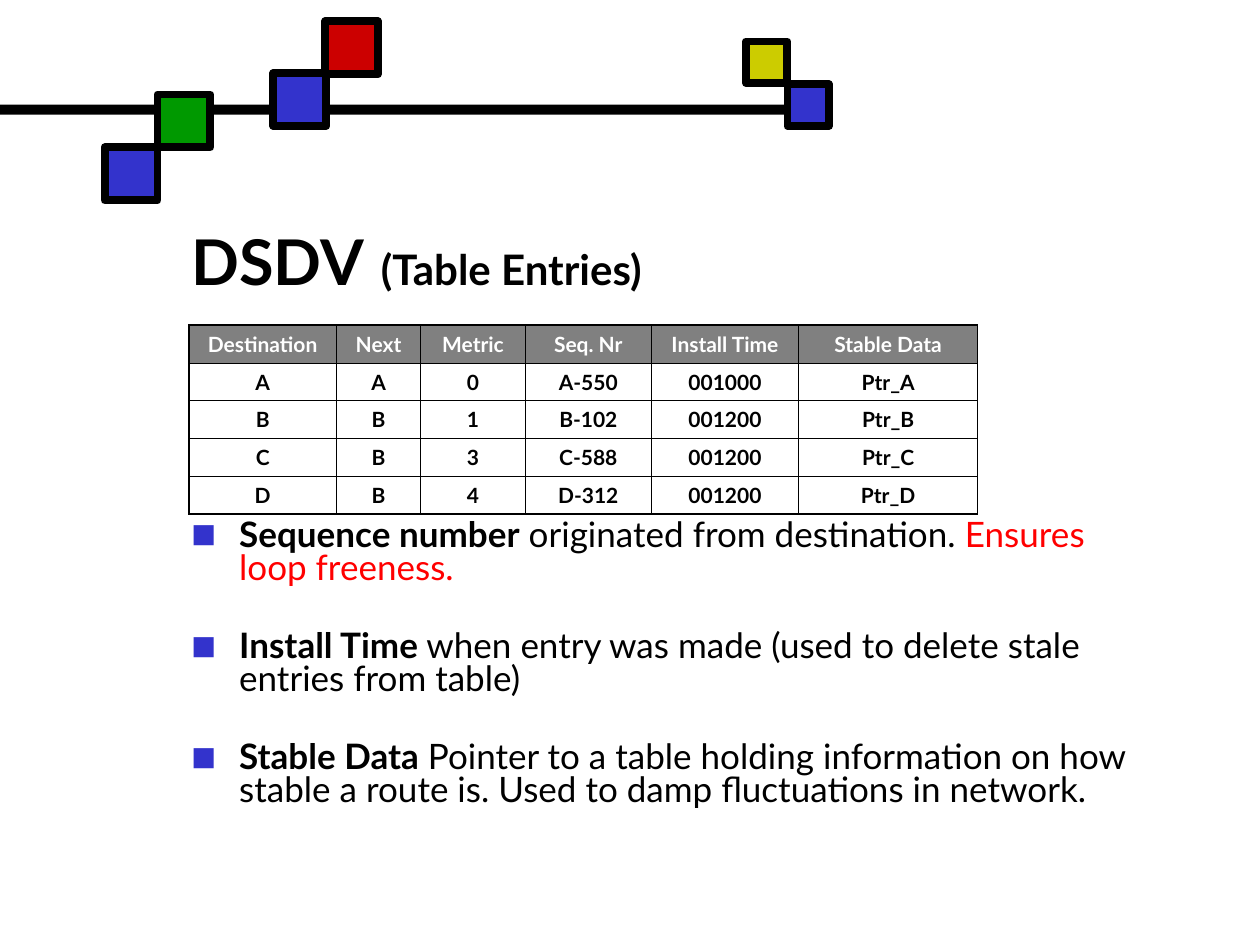
from dataclasses import dataclass
from lxml.etree import SubElement as Sub
from pptx import Presentation as Deck
from pptx.dml.color import RGBColor as Rgb
from pptx.enum.shapes import MSO_SHAPE as Kind
from pptx.enum.text import MSO_ANCHOR as Anchor, PP_ALIGN as Align
from pptx.oxml.ns import qn
from pptx.util import Inches, Pt


@dataclass(frozen=True)
class Theme:
    font: str = "Lato"
    black: str = "000000"
    white: str = "FFFFFF"
    blue: str = "3333CC"
    green: str = "009900"
    red: str = "CC0000"
    gold: str = "CCCC00"
    gray: str = "808080"
    alert: str = "FF0000"
    title: int = 36
    gap: int = 40
    sub: int = 24
    body: int = 20
    cell: int = 12
    edge: float = 4.5
    rim: float = 1.08
    grid: float = 0.45


T = Theme()

# Left, top, side, fill
TILES = [
    (6.25, 0.67, 0.33, T.blue),
    (5.92, 0.33, 0.33, T.gold),
    (2.17, 0.58, 0.42, T.blue),
    (0.83, 1.17, 0.42, T.blue),
    (1.25, 0.75, 0.42, T.green),
    (2.58, 0.17, 0.42, T.red),
]
# Text, size
TITLE = [("DSDV", T.title), (" ", T.gap), ("(Table Entries)", T.sub)]
# Text, bold, colour; a line feed is a line break
POINTS = [
    [("Sequence number", True, T.black),
     (" originated from destination. ", False, T.black),
     ("Ensures\nloop freeness.", False, T.alert)],
    [("Install Time", True, T.black),
     (" when entry was made (used to delete stale entries from table)",
      False, T.black)],
    [("Stable Data", True, T.black),
     (" Pointer to a table holding information on how stable a route is."
      " Used to damp fluctuations in network.", False, T.black)],
]
COLS = [1.17, 0.67, 0.83, 1, 1.17, 1.42]
ROW = 0.3
ROWS = [
    ("Destination", "Next", "Metric", "Seq. Nr", "Install Time", "Stable Data"),
    ("A", "A", "0", "A-550", "001000", "Ptr_A"),
    ("B", "B", "1", "B-102", "001200", "Ptr_B"),
    ("C", "B", "3", "C-588", "001200", "Ptr_C"),
    ("D", "B", "4", "D-312", "001200", "Ptr_D"),
]


def paint(fill, tone):
    fill.solid()
    fill.fore_color.rgb = Rgb.from_string(tone)


def add_rect(slide, box, tone, edge=None):
    rect = slide.shapes.add_shape(Kind.RECTANGLE, *map(Inches, box))
    rect.shadow.inherit = False
    paint(rect.fill, tone)
    if edge:
        paint(rect.line.fill, T.black)
        rect.line.width = Pt(edge)
    else:
        rect.line.fill.background()


def add_run(para, text, size, bold=True, tone=T.black):
    for i, part in enumerate(text.split("\n")):
        if i:
            para.add_line_break()
        run = para.add_run()
        run.text = part
        font = run.font
        font.name, font.size, font.bold = T.font, Pt(size), bold
        font.color.rgb = Rgb.from_string(tone)


def add_frame(slide, box):
    frame = slide.shapes.add_textbox(*map(Inches, box)).text_frame
    frame.word_wrap = True
    return frame


def add_bullet(para):
    props = para._p.get_or_add_pPr()
    props.set("marL", str(Inches(0.38)))
    props.set("indent", str(-Inches(0.38)))
    tint = Sub(props, qn("a:buClr"))
    Sub(tint, qn("a:srgbClr"), val=T.blue)
    Sub(props, qn("a:buSzPct"), val="75000")
    Sub(props, qn("a:buFont"), typeface=T.font)
    Sub(props, qn("a:buChar"), char="■")


def add_border(cell, side, width):
    line = Sub(cell._tc.get_or_add_tcPr(), qn("a:ln" + side),
               w=str(int(Pt(width))))
    fill = Sub(line, qn("a:solidFill"))
    Sub(fill, qn("a:srgbClr"), val=T.black)


def add_grid(slide):
    high, wide = len(ROWS), len(COLS)
    table = slide.shapes.add_table(
        high, wide, Inches(1.5), Inches(2.58),
        Inches(sum(COLS)), Inches(ROW * high)).table
    for col, width in zip(table.columns, COLS):
        col.width = Inches(width)
    for r, row in enumerate(ROWS):
        table.rows[r].height = Inches(ROW)
        for c, text in enumerate(row):
            cell = table.cell(r, c)
            cell.margin_left = cell.margin_right = Inches(0.02)
            cell.margin_top = cell.margin_bottom = Inches(0.05)
            rims = {"L": c == 0, "R": c == wide - 1,
                    "T": r == 0, "B": r == high - 1}
            for side, outer in rims.items():
                add_border(cell, side, T.rim if outer else T.grid)
            if r == 0:
                paint(cell.fill, T.gray)
            else:
                cell.fill.background()
            para = cell.text_frame.paragraphs[0]
            para.alignment = Align.CENTER
            add_run(para, text, T.cell, tone=T.black if r else T.white)


def main():
    deck = Deck()
    deck.slide_width, deck.slide_height = Inches(10), Inches(7.5)
    slide = deck.slides.add_slide(deck.slide_layouts[6])

    add_rect(slide, (0, 0.83, 6.42, 0.08), T.black)
    for left, top, side, tone in TILES:
        add_rect(slide, (left, top, side, side), tone, T.edge)

    head = add_frame(slide, (1.42, 1.67, 8.17, 0.75))
    head.vertical_anchor = Anchor.MIDDLE
    for text, size in TITLE:
        add_run(head.paragraphs[0], text, size)

    body = add_frame(slide, (1.42, 4.08, 7.75, 2.92))
    for i, point in enumerate(POINTS):
        para = body.add_paragraph() if i else body.paragraphs[0]
        add_bullet(para)
        para.line_spacing = 0.8
        if i:
            para.space_before = Pt(25)
        for text, bold, tone in point:
            add_run(para, text, T.body, bold, tone)

    add_grid(slide)
    deck.save("out.pptx")


if __name__ == "__main__":
    main()
